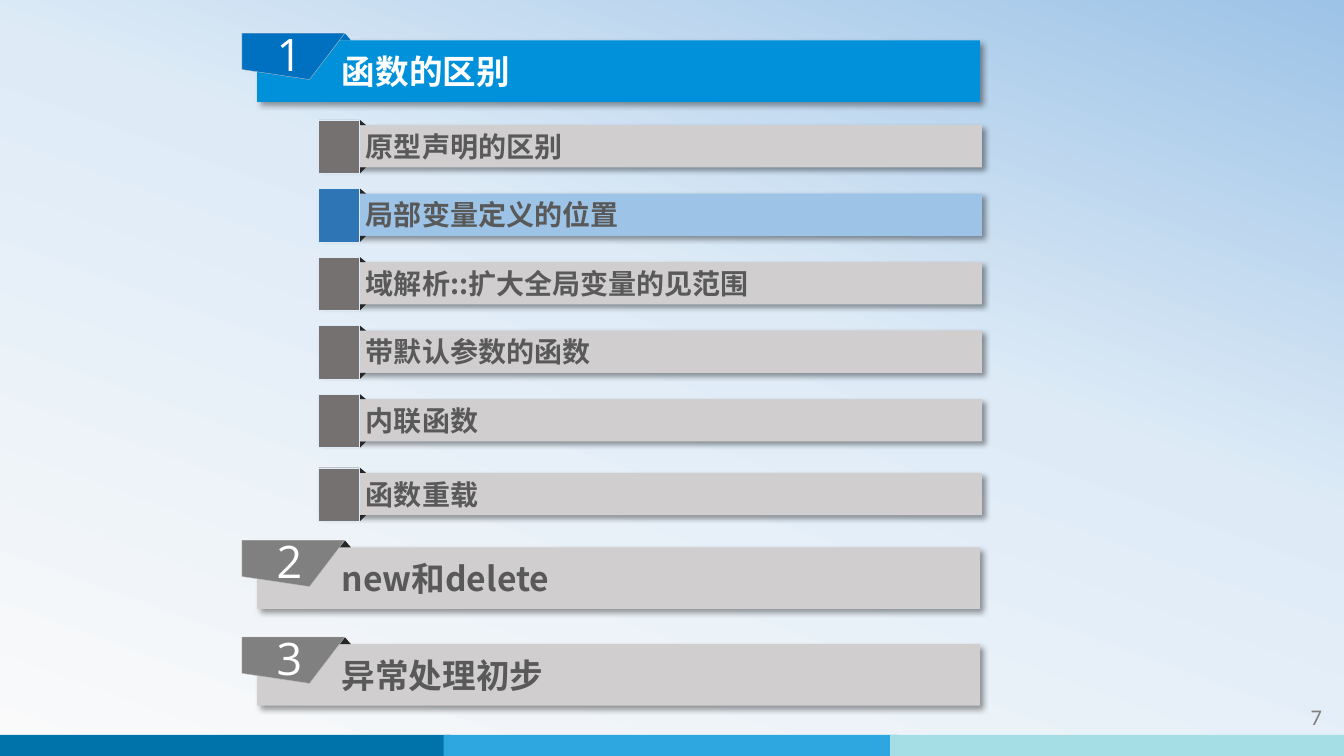
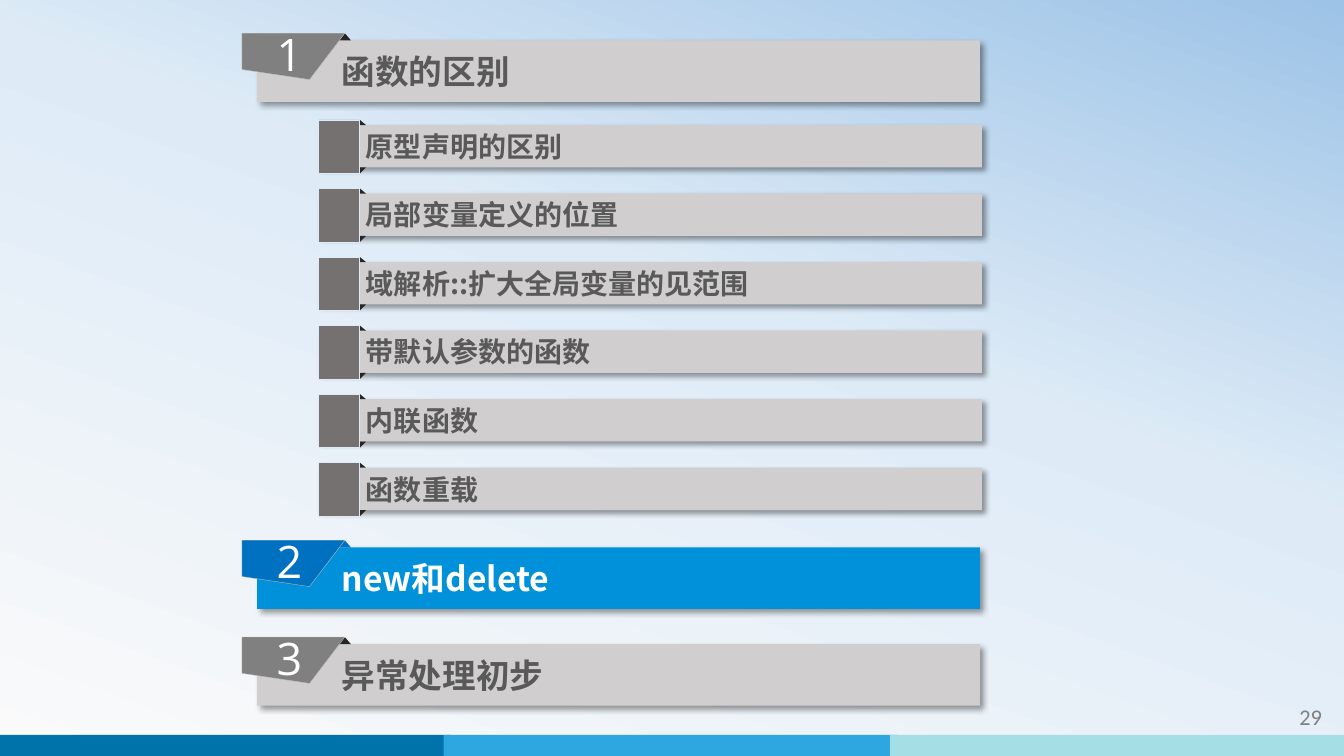
"""Build two agenda slides that mark the current chapter."""
from copy import deepcopy

from lxml import etree
from pptx import Presentation
from pptx.dml.color import RGBColor
from pptx.enum import shapes, text
from pptx.oxml.ns import qn
from pptx.util import Inches, Pt

HEADS = ["函数的区别", "new和delete", "异常处理初步"]
SUBS = ["原型声明的区别", "局部变量定义的位置", "域解析::扩大全局变量的见范围",
        "带默认参数的函数", "内联函数", "函数重载"]
SLIDES = [
    {"page": "7", "head": 0, "sub": 1, "drop": 0.05},
    {"page": "29", "head": 1, "sub": None, "drop": 0},
]
TOPS = [0.4, 5.43, 6.39]
FIRST, PITCH = 1.24, 0.68

WHITE = RGBColor(0xFF, 0xFF, 0xFF)
INK = RGBColor(0x59, 0x59, 0x59)
DARK = RGBColor(0x26, 0x26, 0x26)
GRAY = RGBColor(0x80, 0x80, 0x80)
STONE = RGBColor(0x76, 0x71, 0x71)
PALE = RGBColor(0xD0, 0xCE, 0xCE)
EDGE = RGBColor(0xBF, 0xBF, 0xBF)
BLUE = RGBColor(0x00, 0x91, 0xDA)
DEEP = RGBColor(0x00, 0x70, 0xC0)
STEEL = RGBColor(0x2E, 0x75, 0xB6)
SKY = RGBColor(0x9D, 0xC3, 0xE6)
MIST = RGBColor(0xDE, 0xEB, 0xF7)
STOPS = [(0, RGBColor(0xFA, 0xFA, 0xFA)), (0.58, MIST), (1, SKY)]
BANDS = [RGBColor(0x00, 0x73, 0xAB), RGBColor(0x2E, 0xA7, 0xE0),
         RGBColor(0xA5, 0xDE, 0xE4)]
CJK, SANS, PLAIN = "Noto Sans CJK SC", "Open Sans", "Calibri"
RECT = shapes.MSO_SHAPE.RECTANGLE
PEAK = shapes.MSO_SHAPE.ISOSCELES_TRIANGLE


def paint(shape, fill, line=None):
    shape.shadow.inherit = False
    shape.fill.solid()
    shape.fill.fore_color.rgb = fill
    if line is None:
        shape.line.fill.background()
    else:
        shape.line.color.rgb = line
        shape.line.width = Pt(0.25)
    return shape


def block(slide, kind, x, y, w, h, fill, line=None):
    shape = slide.shapes.add_shape(
        kind, Inches(x), Inches(y), Inches(w), Inches(h))
    return paint(shape, fill, line)


def write(shape, words, size, face, color, align, pads, bold=False):
    frame = shape.text_frame
    frame.auto_size = text.MSO_AUTO_SIZE.NONE
    frame.word_wrap = True
    frame.vertical_anchor = text.MSO_ANCHOR.MIDDLE
    (frame.margin_left, frame.margin_top,
     frame.margin_right, frame.margin_bottom) = map(Inches, pads)
    frame.text = words
    para = frame.paragraphs[0]
    para.alignment = align
    font = para.font
    font.size, font.name, font.bold = Pt(size), face, bold
    font.color.rgb = color
    for node in shape.element.iter(qn("a:defRPr")):
        etree.SubElement(node, qn("a:ea"), typeface=face)


def shade(shape):
    node = next(shape.element.iter(qn("a:effectLst")))
    cast = etree.SubElement(
        node, qn("a:outerShdw"), blurRad=str(Pt(4)), dist=str(Pt(3)),
        dir="2700000", algn="tl", rotWithShape="0")
    tint = etree.SubElement(cast, qn("a:srgbClr"), val="000000")
    etree.SubElement(tint, qn("a:alpha"), val="40000")


def label(bar, words, size, color, left):
    shade(bar)
    write(bar, words, size, CJK, color, text.PP_ALIGN.LEFT,
          (left, 0.05, 0.1, 0.05), True)


def head(slide, num, words, y, live):
    x = 2.55
    if live:
        bar = slide.shapes.title
        bar.left, bar.top = Inches(x), Inches(y)
        bar.width, bar.height = Inches(7.17), Inches(0.61)
        paint(bar, BLUE)
    else:
        bar = block(slide, RECT, x, y, 7.17, 0.61, PALE)
    label(bar, words, 24, WHITE if live else INK, 0.84)
    block(slide, PEAK, x + 0.81, y - 0.07, 0.12, 0.07,
          DEEP if live else DARK)
    dots = [(Inches(x - 0.15 + dx), Inches(y - 0.07 + dy))
            for dx, dy in [(0, 0), (1.02, 0), (0.67, 0.46), (0, 0.36)]]
    path = slide.shapes.build_freeform(*dots[0])
    path.add_line_segments(dots[1:], close=True)
    tab = paint(path.convert_to_shape(), DEEP if live else GRAY, EDGE)
    write(tab, str(num), 32, SANS, WHITE, text.PP_ALIGN.CENTER,
          (0.09, 0.04, 0.17, 0.1))


def sub(slide, words, y, live):
    x = 3.17
    bar = block(slide, RECT, x, y, 6.57, 0.42, SKY if live else PALE)
    label(bar, words, 20, INK, 0.46)
    block(slide, PEAK, x + 0.34, y - 0.05, 0.12, 0.05, DARK)
    block(slide, PEAK, x + 0.34, y + 0.42, 0.12, 0.06, DARK).rotation = 180
    block(slide, RECT, x - 0.01, y - 0.05, 0.4, 0.53,
          STEEL if live else STONE, MIST)


def dress(layout, slide):
    fill = layout.background.fill
    fill.gradient()
    fill.gradient_angle = 70
    stops = next(layout.element.iter(qn("a:gsLst")))
    stops.append(deepcopy(stops[-1]))
    for stop, (place, color) in zip(fill.gradient_stops, STOPS):
        stop.position = place
        stop.color.rgb = color
    for i, color in enumerate(BANDS):
        band = block(slide, RECT, -0.03 + 4.43 * i, 7.29, 4.5, 0.21, color)
        layout.shapes.element.append(band.element)


def main():
    deck = Presentation()
    deck.slide_width, deck.slide_height = Inches(13.33), Inches(7.5)
    layout = deck.slide_layouts.get_by_name("Title Only")
    for n, plan in enumerate(SLIDES):
        slide = deck.slides.add_slide(layout)
        if n == 0:
            dress(layout, slide)
        for i, (words, y) in enumerate(zip(HEADS, TOPS)):
            head(slide, i + 1, words, y, i == plan["head"])
        for i, words in enumerate(SUBS):
            y = FIRST + PITCH * i
            if i == len(SUBS) - 1:
                y += plan["drop"]
            sub(slide, words, y, i == plan["sub"])
        page = slide.shapes.add_textbox(
            Inches(11.62), Inches(6.91), Inches(1.59), Inches(0.4))
        write(page, plan["page"], 16, PLAIN, GRAY, text.PP_ALIGN.RIGHT,
              (0.1, 0.05, 0.1, 0.05))
    deck.save("out.pptx")


if __name__ == "__main__":
    main()
